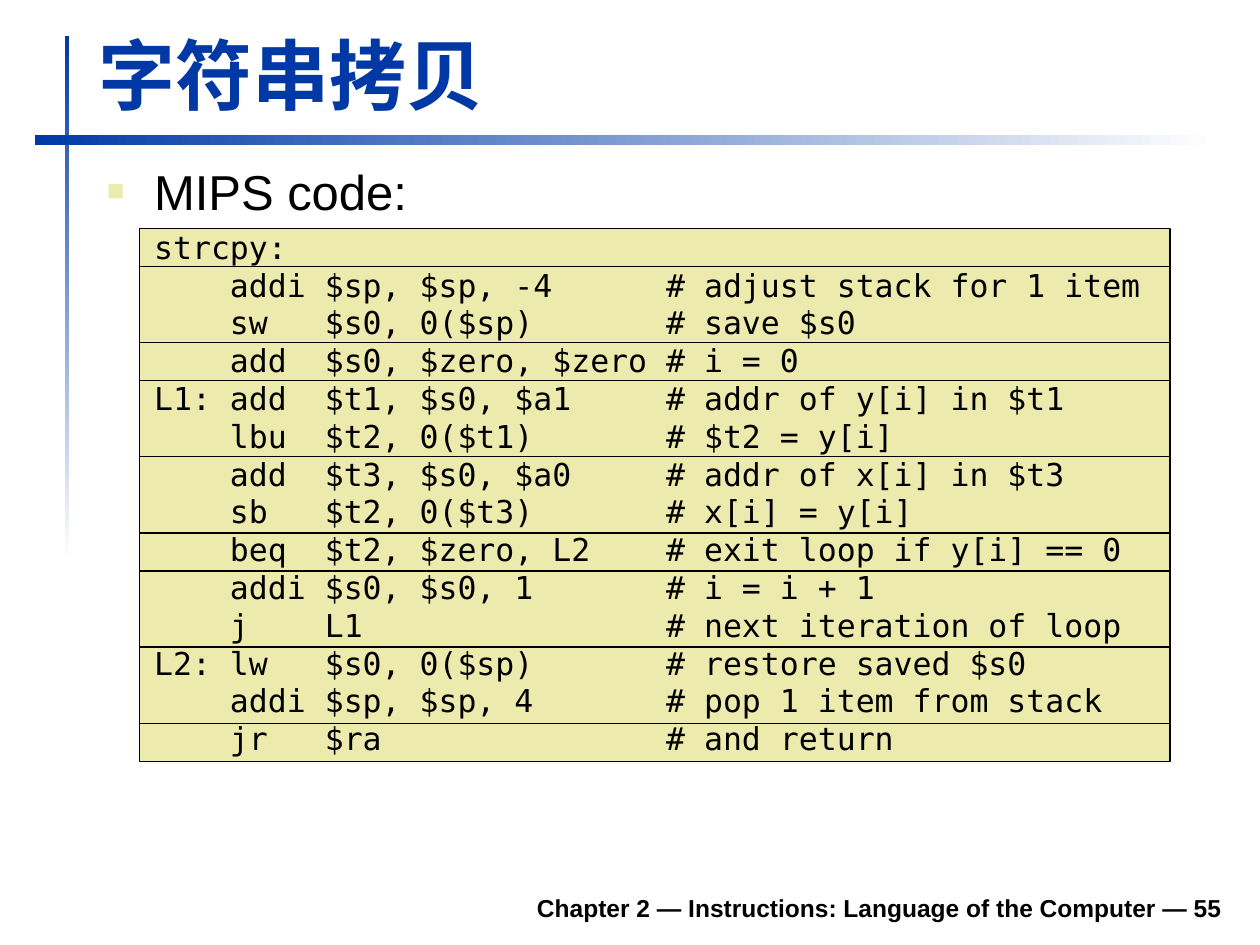
from dataclasses import dataclass

from lxml.etree import SubElement
from pptx import Presentation
from pptx.dml.color import RGBColor
from pptx.enum.shapes import MSO_SHAPE
from pptx.enum.text import MSO_ANCHOR, PP_ALIGN
from pptx.oxml.ns import qn
from pptx.util import Pt


@dataclass(frozen=True)
class Theme:
    blue: RGBColor = RGBColor(0x00, 0x39, 0xA6)
    sand: RGBColor = RGBColor(0xEC, 0xEA, 0xAC)
    black: RGBColor = RGBColor(0x00, 0x00, 0x00)
    white: RGBColor = RGBColor(0xFF, 0xFF, 0xFF)
    text_font: str = "Arial"
    code_font: str = "DejaVu Sans Mono"
    title_size: int = 44
    body_size: int = 28
    code_size: int = 18
    footer_size: int = 14


THEME = Theme()

CODE_BLOCKS = [
    ["strcpy:"],
    ["    addi $sp, $sp, -4      # adjust stack for 1 item",
     "    sw   $s0, 0($sp)       # save $s0"],
    ["    add  $s0, $zero, $zero # i = 0"],
    ["L1: add  $t1, $s0, $a1     # addr of y[i] in $t1",
     "    lbu  $t2, 0($t1)       # $t2 = y[i]"],
    ["    add  $t3, $s0, $a0     # addr of x[i] in $t3",
     "    sb   $t2, 0($t3)       # x[i] = y[i]"],
    ["    beq  $t2, $zero, L2    # exit loop if y[i] == 0"],
    ["    addi $s0, $s0, 1       # i = i + 1",
     "    j    L1                # next iteration of loop"],
    ["L2: lw   $s0, 0($sp)       # restore saved $s0",
     "    addi $sp, $sp, 4       # pop 1 item from stack"],
    ["    jr   $ra               # and return"],
]


def add_rectangle(page, left, top, width, height):
    box = page.shapes.add_shape(
        MSO_SHAPE.RECTANGLE, Pt(left), Pt(top), Pt(width), Pt(height))
    box.shadow.inherit = False
    return box


def add_fading_bar(page, left, top, width, height, angle):
    bar = add_rectangle(page, left, top, width, height)
    bar.line.fill.background()
    bar.fill.gradient()
    bar.fill.gradient_angle = angle
    for stop, color, position in zip(
            bar.fill.gradient_stops, (THEME.blue, THEME.white), (0, 1)):
        stop.color.rgb = color
        stop.position = position


def add_code_panels(page, left, top, width, line_height):
    for block in CODE_BLOCKS:
        height = line_height * len(block)
        panel = add_rectangle(page, left, top, width, height)
        panel.fill.solid()
        panel.fill.fore_color.rgb = THEME.sand
        panel.line.color.rgb = THEME.black
        panel.line.width = Pt(0.75)
        top += height


def add_text_box(page, left, top, width, height, anchor=MSO_ANCHOR.TOP):
    box = page.shapes.add_textbox(Pt(left), Pt(top), Pt(width), Pt(height))
    box.text_frame.word_wrap = True
    box.text_frame.vertical_anchor = anchor
    return box.text_frame


def write(para, text, size, color, font=THEME.text_font, bold=False):
    para.text = text
    for span in para.runs:
        span.font.name = font
        span.font.size = Pt(size)
        span.font.bold = bold
        span.font.color.rgb = color


def set_indent(para, margin, first_line):
    properties = para._p.get_or_add_pPr()
    properties.set("marL", str(Pt(margin)))
    properties.set("indent", str(Pt(first_line)))
    return properties


def add_square_bullet(para):
    properties = set_indent(para, 27, -27)
    color = SubElement(properties, qn("a:buClr"))
    SubElement(color, qn("a:srgbClr"), val=str(THEME.sand))
    SubElement(properties, qn("a:buSzPct"), val="60000")
    SubElement(properties, qn("a:buFont"), typeface=THEME.text_font)
    SubElement(properties, qn("a:buChar"), char="■")


def add_title(page):
    frame = add_text_box(page, 49, 11.5, 650, 60.5, MSO_ANCHOR.BOTTOM)
    write(frame.paragraphs[0], "字符串拷贝", THEME.title_size, THEME.blue, bold=True)


def add_body(page):
    frame = add_text_box(page, 54, 88.5, 651, 402.5)
    heading = frame.paragraphs[0]
    add_square_bullet(heading)
    write(heading, "MIPS code:", THEME.body_size, THEME.black)
    code = frame.add_paragraph()
    set_indent(code, 27, 0)
    code.space_before = Pt(4.5)
    lines = [line for block in CODE_BLOCKS for line in block]
    write(code, "\v".join(lines), THEME.code_size, THEME.black, THEME.code_font)


def add_footer(page):
    frame = add_text_box(page, 133, 502.5, 572.5, 28, MSO_ANCHOR.BOTTOM)
    para = frame.paragraphs[0]
    para.alignment = PP_ALIGN.RIGHT
    write(para, "Chapter 2 — Instructions: Language of the Computer — 55",
          THEME.footer_size, THEME.black, bold=True)


def main():
    deck = Presentation()
    deck.slide_width, deck.slide_height = Pt(720), Pt(540)
    page = deck.slides.add_slide(deck.slide_layouts[6])
    add_fading_bar(page, 37, 20.5, 2.5, 300, 270)
    add_fading_bar(page, 19.75, 77, 675, 6, 0)
    add_footer(page)
    add_code_panels(page, 79.5, 130.5, 589, 21.75)
    add_title(page)
    add_body(page)
    deck.save("out.pptx")


if __name__ == "__main__":
    main()
